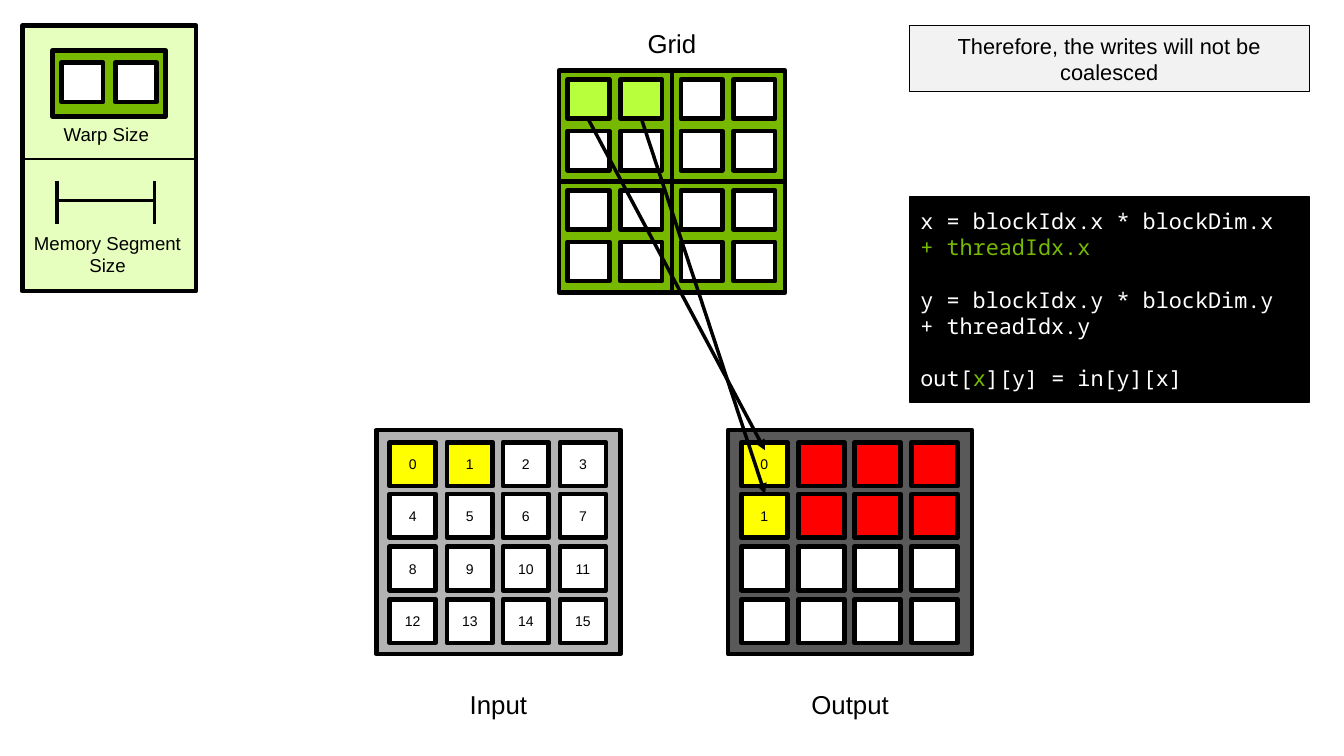
from itertools import product

from lxml.etree import SubElement
from pptx import Presentation
from pptx.dml.color import RGBColor
from pptx.enum.shapes import MSO_CONNECTOR as CONNECTOR, MSO_SHAPE as SHAPE
from pptx.enum.text import MSO_ANCHOR as ANCHOR, PP_ALIGN as ALIGN
from pptx.oxml.ns import qn
from pptx.util import Inches, Pt

BLACK, WHITE, GREEN = "000000", "FFFFFF", "76B900"
LIME, YELLOW, RED = "B8FF3C", "FFFF00", "FF0000"
COLUMNS = (0.12, 0.63, 1.13, 1.64)
ROWS = (0.11, 0.57, 1.04, 1.51)
THREAD_WIDTH, THREAD_HEIGHT = 0.37, 0.35
CODE = (
    (("x = blockIdx.x * blockDim.x \t", WHITE), ("+ threadIdx.x", GREEN)),
    (("y = blockIdx.y * blockDim.y \t+ threadIdx.y", WHITE),),
    (("out[", WHITE), ("x", GREEN), ("][y] = in[y][x]", WHITE)),
)


def color(value):
    """Turn a hex string into a colour."""
    return RGBColor.from_string(value)


def style_text(paragraph, size, font="Arial", align=ALIGN.CENTER):
    """Set the font and alignment of a whole paragraph."""
    paragraph.alignment = align
    paragraph.font.size = Pt(size)
    paragraph.font.name = font


def add_box(slide, left, top, width, height, fill, text="", size=9, border=3):
    """Add an outlined rectangle with optional centred text."""
    box = slide.shapes.add_shape(
        SHAPE.RECTANGLE, Inches(left), Inches(top), Inches(width), Inches(height)
    )
    box.shadow.inherit = False
    box.fill.solid()
    box.fill.fore_color.rgb = color(fill)
    box.line.color.rgb = color(BLACK)
    box.line.width = Pt(border)
    if text:
        frame = box.text_frame
        frame.vertical_anchor = ANCHOR.MIDDLE
        frame.text = text
        style_text(frame.paragraphs[0], size)
        frame.paragraphs[0].font.color.rgb = color(BLACK)
    return box


def add_label(slide, left, top, width, height, text, size):
    """Add a centred caption."""
    label = slide.shapes.add_textbox(
        Inches(left), Inches(top), Inches(width), Inches(height)
    )
    frame = label.text_frame
    frame.word_wrap = True
    frame.text = text
    style_text(frame.paragraphs[0], size)
    frame.paragraphs[0].font.color.rgb = color(BLACK)


def add_line(slide, start, end, width=2.25, arrow=False):
    """Add a straight black line, with an arrowhead at its end on request."""
    line = slide.shapes.add_connector(
        CONNECTOR.STRAIGHT, *(Inches(value) for value in (*start, *end))
    )
    line.line.color.rgb = color(BLACK)
    line.line.width = Pt(width)
    if arrow:
        SubElement(line.line._get_or_add_ln(), qn("a:tailEnd"), type="triangle")
    SubElement(line._element.spPr, qn("a:effectLst"))


def add_thread_grid(slide, left, top):
    """Draw two by two blocks of threads, the first warp being active."""
    block_width, block_height = 1.01, 0.99
    for block_row, block_column in product(range(2), repeat=2):
        x = left + block_column * block_width
        y = top + block_row * block_height
        add_box(slide, x, y, block_width, block_height, GREEN)
        for row, column in product(range(2), repeat=2):
            active = block_row == block_column == row == 0
            add_box(slide, x + 0.08 + column * 0.47, y + 0.08 + row * 0.46,
                    THREAD_WIDTH, THREAD_HEIGHT, LIME if active else WHITE)
    add_label(slide, left + 0.51, top - 0.43, 1, 0.38, "Grid", 16.6)


def add_matrix(slide, left, top, title, fill, values, fills):
    """Draw a captioned four by four matrix in memory."""
    width = 2.18
    add_box(slide, left, top, width, 2, fill)
    for index, (y, x) in enumerate(product(ROWS, COLUMNS)):
        cell = add_box(slide, left + x, top + y, 0.41, 0.39,
                       fills.get(index, WHITE), values.get(index, ""))
        cell.text_frame.margin_left = cell.text_frame.margin_right = 0
    add_label(slide, left, top + 2.26, width, 0.38, title, 16.6)


def add_legend(slide, left, top):
    """Explain the sizes of a warp and of a memory segment."""
    width = 1.55
    add_box(slide, left, top, width, 2.37, "E7FFBE")
    add_label(slide, left, top + 1.79, 1.52, 0.5, "Memory Segment Size", 12)
    segment_start, segment_end = left + 0.31, left + 1.18
    add_line(slide, (segment_start, top + 1.56), (segment_end, top + 1.56))
    for x in (segment_start, segment_end):
        add_line(slide, (x, top + 1.39), (x, top + 1.77))
    add_box(slide, left + 0.27, top + 0.22, 1.01, 0.59, GREEN)
    for x in (0.35, 0.83):
        add_box(slide, left + x, top + 0.33, THREAD_WIDTH, THREAD_HEIGHT, WHITE)
    add_label(slide, left + 0.2, top + 0.82, 1.1, 0.3, "Warp Size", 12)
    add_line(slide, (left, top + 1.19), (left + width, top + 1.19), 1.5)


def add_code(slide, left, top, width, height):
    """Show the index computation with its highlighted parts."""
    panel = add_box(slide, left, top, width, height, BLACK, border=0.75)
    frame = panel.text_frame
    frame.word_wrap = True
    frame.vertical_anchor = ANCHOR.MIDDLE
    for number, statement in enumerate(CODE):
        paragraph = frame.add_paragraph() if number else frame.paragraphs[0]
        style_text(paragraph, 14, "Noto Sans Mono", ALIGN.LEFT)
        paragraph.space_before = Pt(16.8 if number else 0)
        for text, shade in statement:
            run = paragraph.add_run()
            run.text = text
            run.font.color.rgb = color(shade)


def main():
    """Build and save the slide."""
    deck = Presentation()
    deck.slide_width, deck.slide_height = Inches(12), Inches(6.75)
    slide = deck.slides.add_slide(deck.slide_layouts[6])
    add_thread_grid(slide, 4.99, 0.63)
    add_box(slide, 8.12, 0.23, 3.57, 0.59, "F2F2F2",
            "Therefore, the writes will not be coalesced", 14, 0.75)
    add_legend(slide, 0.2, 0.23)
    output_fills = {index: RED for index in range(8)} | {0: YELLOW, 4: YELLOW}
    add_matrix(slide, 6.5, 3.84, "Output", "595959", {0: "0", 4: "1"}, output_fills)
    add_code(slide, 8.12, 1.76, 3.57, 1.83)
    add_line(slide, (5.25, 1.06), (6.83, 4.02), arrow=True)
    add_line(slide, (5.73, 1.07), (6.83, 4.41), arrow=True)
    input_values = {index: str(index) for index in range(16)}
    add_matrix(slide, 3.36, 3.84, "Input", "B3B3B3", input_values,
               {0: YELLOW, 1: YELLOW})
    deck.save("out.pptx")


if __name__ == "__main__":
    main()
